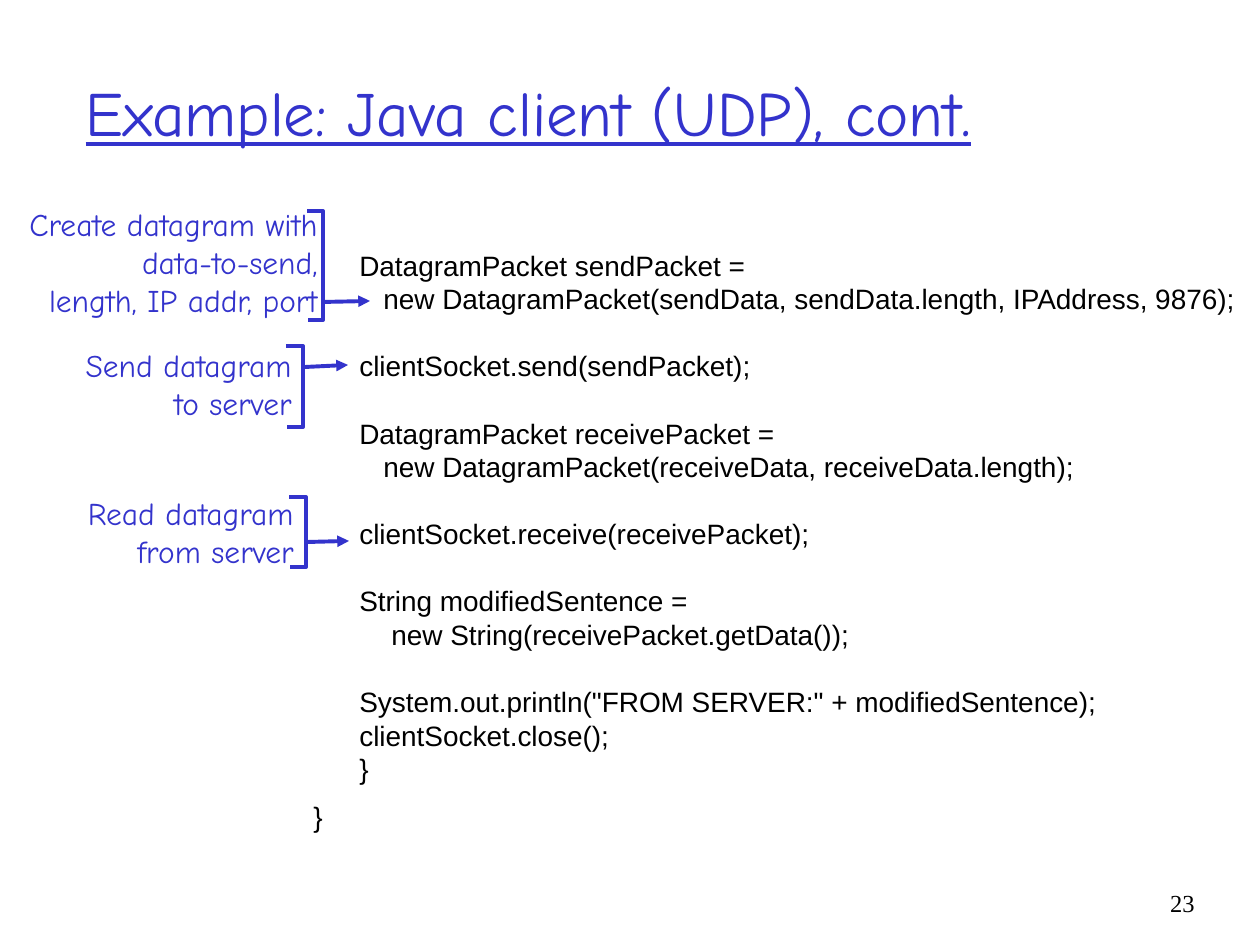
from dataclasses import dataclass
from typing import NamedTuple

from lxml.etree import SubElement
from pptx import Presentation
from pptx.dml.color import RGBColor
from pptx.enum.shapes import MSO_CONNECTOR as Connector
from pptx.enum.text import MSO_ANCHOR as Anchor, MSO_AUTO_SIZE as AutoSize, PP_ALIGN as Align
from pptx.oxml.ns import qn
from pptx.util import Emu, Inches, Pt

PX = 914400 / 126


def px(length: int) -> Emu:
    return Emu(round(length * PX))


@dataclass(frozen=True)
class Theme:
    blue: RGBColor = RGBColor(0x33, 0x33, 0xCC)
    black: RGBColor = RGBColor(0, 0, 0)
    display: str = "Comic Neue"
    code: str = "Arial"
    number: str = "Times New Roman"
    title_size: Pt = Pt(36)
    label_size: Pt = Pt(18)
    code_size: Pt = Pt(16)
    number_size: Pt = Pt(14)
    label_pitch: Pt = Pt(21.6)
    code_pitch: Pt = Pt(19.2)
    stroke: Pt = Pt(2.25)


THEME = Theme()


class Area(NamedTuple):
    left: int
    top: int
    width: int
    height: int


class Line(NamedTuple):
    text: str
    indent: int = 0
    before: Pt = Pt(0)


@dataclass(frozen=True)
class Callout:
    lines: tuple[str, ...]
    area: Area
    bracket: Area
    arrow_start: tuple[int, int]
    arrow_end: tuple[int, int]
    wrap: bool = False


STATEMENT, CONTINUED, DEEPER = 46, 70, 78
GAP = THEME.code_pitch

CODE = (
    Line("DatagramPacket sendPacket =", STATEMENT),
    Line("new DatagramPacket(sendData, sendData.length, IPAddress, 9876);", CONTINUED),
    Line("clientSocket.send(sendPacket);", STATEMENT, GAP),
    Line("DatagramPacket receivePacket =", STATEMENT, GAP),
    Line("new DatagramPacket(receiveData, receiveData.length);", CONTINUED),
    Line("clientSocket.receive(receivePacket);", STATEMENT, GAP),
    Line("String modifiedSentence =", STATEMENT, GAP),
    Line("new String(receivePacket.getData());", DEEPER),
    Line('System.out.println("FROM SERVER:" + modifiedSentence);', STATEMENT, GAP),
    Line("clientSocket.close();", STATEMENT),
    Line("}", STATEMENT),
    Line("}", 0, Pt(8)),
)

CALLOUTS = (
    Callout(("Create datagram with data-to-send,", "length, IP addr, port"),
            Area(0, 199, 330, 126), Area(307, 211, 16, 109), (323, 302), (370, 301), True),
    Callout(("Send datagram", "to server"),
            Area(72, 340, 232, 88), Area(286, 346, 17, 81), (305, 367), (348, 365)),
    Callout(("Read datagram", "from server"),
            Area(73, 488, 233, 88), Area(289, 497, 17, 70), (307, 542), (349, 541)),
)


def fill_text(shape, area: Area, lines, style: dict, color: RGBColor,
              layout: dict, anchor=Anchor.TOP, wrap: bool = True) -> None:
    for name, length in area._asdict().items():
        setattr(shape, name, px(length))
    frame = shape.text_frame
    frame_format = {"word_wrap": wrap, "auto_size": AutoSize.NONE, "vertical_anchor": anchor}
    for name, value in frame_format.items():
        setattr(frame, name, value)
    for index, line in enumerate(lines):
        para = frame.add_paragraph() if index else frame.paragraphs[0]
        for name, value in {**layout, "space_before": line.before}.items():
            setattr(para, name, value)
        if line.indent:
            properties = para._p.get_or_add_pPr()
            properties.set("marL", str(px(line.indent)))
            properties.set("indent", "0")
        span = para.add_run()
        span.text = line.text
        for name, value in style.items():
            setattr(span.font, name, value)
        span.font.color.rgb = color


def add_text(page, area: Area, *args, **options) -> None:
    box = page.shapes.add_textbox(*map(px, area))
    fill_text(box, area, *args, **options)


def style_line(shape) -> None:
    shape.line.color.rgb = THEME.blue
    shape.line.width = THEME.stroke


def draw_bracket(page, area: Area) -> None:
    right, bottom = area.left + area.width, area.top + area.height
    builder = page.shapes.build_freeform(area.left, area.top, scale=PX)
    builder.add_line_segments(
        [(right, area.top), (right, bottom), (area.left + 1, bottom)], close=False)
    bracket = builder.convert_to_shape()
    bracket.fill.background()
    bracket.shadow.inherit = False
    style_line(bracket)


def draw_arrow(page, start: tuple[int, int], end: tuple[int, int]) -> None:
    arrow = page.shapes.add_connector(Connector.STRAIGHT, *map(px, start + end))
    style_line(arrow)
    properties = arrow.element.spPr
    SubElement(properties.find(qn("a:ln")), qn("a:tailEnd"), type="triangle")
    SubElement(properties, qn("a:effectLst"))


def draw_callout(page, callout: Callout) -> None:
    add_text(page, callout.area, [Line(text) for text in callout.lines],
             {"name": THEME.display, "size": THEME.label_size}, THEME.blue,
             {"alignment": Align.RIGHT, "line_spacing": THEME.label_pitch}, wrap=callout.wrap)
    draw_bracket(page, callout.bracket)
    draw_arrow(page, callout.arrow_start, callout.arrow_end)


def main() -> None:
    deck = Presentation()
    deck.slide_width, deck.slide_height = Inches(10), Inches(7.5)
    page = deck.slides.add_slide(deck.slide_layouts[5])
    fill_text(page.shapes.title, Area(73, 32, 1071, 158),
              [Line("Example: Java client (UDP), cont.")],
              {"name": THEME.display, "size": THEME.title_size, "underline": True},
              THEME.blue, {"alignment": Align.LEFT}, anchor=Anchor.MIDDLE)
    add_text(page, Area(301, 242, 956, 601), CODE,
             {"name": THEME.code, "size": THEME.code_size}, THEME.black,
             {"alignment": Align.LEFT, "line_spacing": THEME.code_pitch})
    for callout in CALLOUTS:
        draw_callout(page, callout)
    add_text(page, Area(1144, 882, 63, 63), [Line("23")],
             {"name": THEME.number, "size": THEME.number_size}, THEME.black,
             {"alignment": Align.RIGHT})
    deck.save("out.pptx")


if __name__ == "__main__":
    main()
